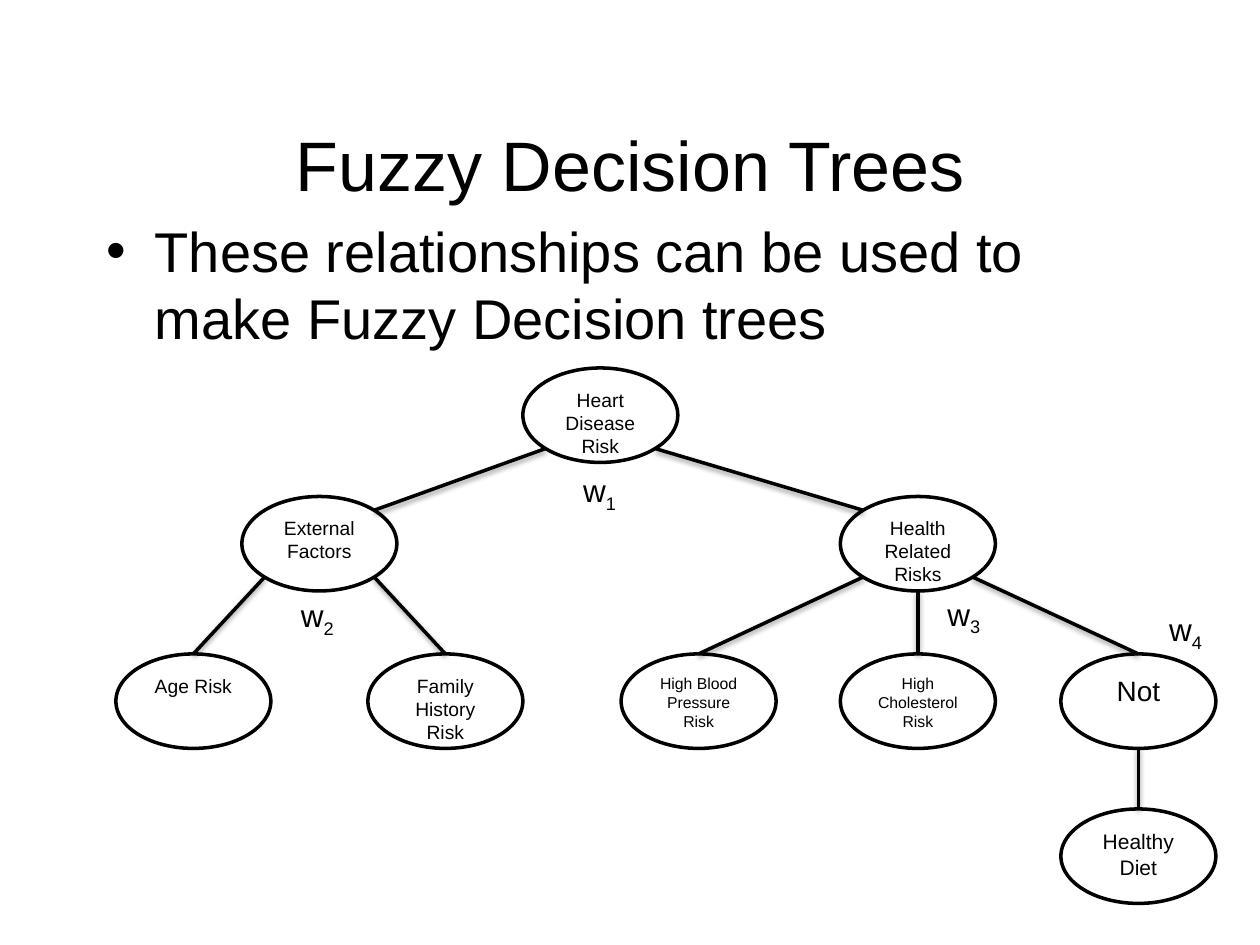
from dataclasses import dataclass
from math import sqrt

from lxml.etree import SubElement
from pptx import Presentation
from pptx.dml.color import RGBColor
from pptx.enum.shapes import MSO_CONNECTOR as Link, MSO_SHAPE as Preset
from pptx.enum.text import MSO_ANCHOR as Anchor, MSO_AUTO_SIZE as Fit, PP_ALIGN as Align
from pptx.oxml.ns import qn
from pptx.util import Inches, Pt


@dataclass(frozen=True)
class Theme:
    font: str = "Arial"
    ink: RGBColor = RGBColor(0, 0, 0)
    paper: RGBColor = RGBColor(255, 255, 255)
    title: int = 40
    body: int = 32
    weight: int = 18
    node: int = 11
    diet: int = 12
    operator: int = 16
    leaf: int = 9
    stroke: int = 2


NODE_W, NODE_H = 1.23, 0.75
ROOT_Y, FACTOR_Y, RISK_Y, DIET_Y = 2.92, 3.94, 5.19, 6.42
DIAGONAL = (1 - sqrt(0.5)) / 2
SITES = {
    "top": (0.5, 0),
    "bottom": (0.5, 1),
    "top left": (DIAGONAL, DIAGONAL),
    "top right": (1 - DIAGONAL, DIAGONAL),
    "bottom left": (DIAGONAL, 1 - DIAGONAL),
    "bottom right": (1 - DIAGONAL, 1 - DIAGONAL),
}


class TreeSlide:
    def __init__(self, slide, theme):
        self.slide = slide
        self.theme = theme

    def add_run(self, paragraph, text, size):
        run = paragraph.add_run()
        run.text = text
        run.font.name = self.theme.font
        run.font.size = Pt(size)
        run.font.color.rgb = self.theme.ink
        return run

    def text_frame(self, left, top, width, height, wrap=True):
        box = self.slide.shapes.add_textbox(*map(Inches, (left, top, width, height)))
        box.text_frame.word_wrap = wrap
        return box.text_frame

    def title(self, text, *area):
        frame = self.text_frame(*area)
        frame.vertical_anchor = Anchor.MIDDLE
        heading = frame.paragraphs[0]
        heading.alignment = Align.CENTER
        self.add_run(heading, text, self.theme.title)

    def bullet(self, text, *area):
        point = self.text_frame(*area).paragraphs[0]
        point.space_before = Pt(3)
        self.add_run(point, text, self.theme.body)
        props = point._p.get_or_add_pPr()
        props.set("marL", str(Inches(0.38)))
        props.set("indent", str(-Inches(0.38)))
        SubElement(props, qn("a:buFont"), typeface=self.theme.font)
        SubElement(props, qn("a:buChar"), char="•")

    def node(self, text, left, top, size):
        oval = self.slide.shapes.add_shape(
            Preset.OVAL, *map(Inches, (left, top, NODE_W, NODE_H)))
        oval.shadow.inherit = False
        oval.fill.solid()
        oval.fill.fore_color.rgb = self.theme.paper
        oval.line.color.rgb = self.theme.ink
        oval.line.width = Pt(self.theme.stroke)
        oval.text_frame.word_wrap = True
        oval.text_frame.vertical_anchor = Anchor.TOP
        label = oval.text_frame.paragraphs[0]
        label.alignment = Align.CENTER
        self.add_run(label, text, size)
        return oval

    def branch(self, parent, parent_site, child, child_site):
        ends = []
        for oval, site in ((parent, parent_site), (child, child_site)):
            across, down = SITES[site]
            ends += [int(oval.left + across * oval.width), int(oval.top + down * oval.height)]
        line = self.slide.shapes.add_connector(Link.STRAIGHT, *ends)
        line.line.color.rgb = self.theme.ink
        line.line.width = Pt(self.theme.stroke)
        effects = SubElement(line._element.spPr, qn("a:effectLst"))
        shadow = SubElement(effects, qn("a:outerShdw"), blurRad=str(Pt(3.1)),
                            dist=str(Pt(1.6)), dir="5400000", rotWithShape="0")
        tint = SubElement(shadow, qn("a:srgbClr"), val=str(self.theme.ink))
        SubElement(tint, qn("a:alpha"), val="38000")

    def weight(self, index, left, top):
        frame = self.text_frame(left, top, 0.48, 0.4, wrap=False)
        frame.auto_size = Fit.SHAPE_TO_FIT_TEXT
        symbol = frame.paragraphs[0]
        self.add_run(symbol, "w", self.theme.weight)
        subscript = self.add_run(symbol, str(index), self.theme.weight)
        subscript.font._element.set("baseline", "-25000")


def main():
    deck = Presentation()
    deck.slide_width, deck.slide_height = Inches(10), Inches(7.5)
    theme = Theme()
    tree = TreeSlide(deck.slides.add_slide(deck.slide_layouts[6]), theme)

    tree.title("Fuzzy Decision Trees", 0.75, 0.67, 8.5, 1.25)
    tree.bullet("These relationships can be used to make Fuzzy Decision trees",
                0.75, 1.67, 8.5, 5)

    external = tree.node("External Factors", 1.92, FACTOR_Y, theme.node)
    heart = tree.node("Heart Disease Risk", 4.15, ROOT_Y, theme.node)
    age = tree.node("Age Risk", 0.92, RISK_Y, theme.node)
    family = tree.node("Family History Risk", 2.92, RISK_Y, theme.node)
    health = tree.node("Health Related Risks", 6.67, FACTOR_Y, theme.node)
    diet = tree.node("Healthy Diet", 8.42, DIET_Y, theme.diet)
    negation = tree.node("Not", 8.42, RISK_Y, theme.operator)
    pressure = tree.node("High Blood Pressure Risk", 4.93, RISK_Y, theme.leaf)
    cholesterol = tree.node("High Cholesterol Risk", 6.67, RISK_Y, theme.leaf)

    for branch in (
        (heart, "bottom left", external, "top right"),
        (negation, "bottom", diet, "top"),
        (external, "bottom left", age, "top"),
        (external, "bottom right", family, "top"),
        (health, "bottom", cholesterol, "top"),
        (health, "bottom left", pressure, "top"),
        (heart, "bottom right", health, "top left"),
        (health, "bottom right", negation, "top"),
    ):
        tree.branch(*branch)

    weight_spots = ((4.53, 3.69), (2.29, 4.68), (7.42, 4.67), (9.18, 4.79))
    for index, spot in enumerate(weight_spots, 1):
        tree.weight(index, *spot)

    deck.save("out.pptx")


if __name__ == "__main__":
    main()
